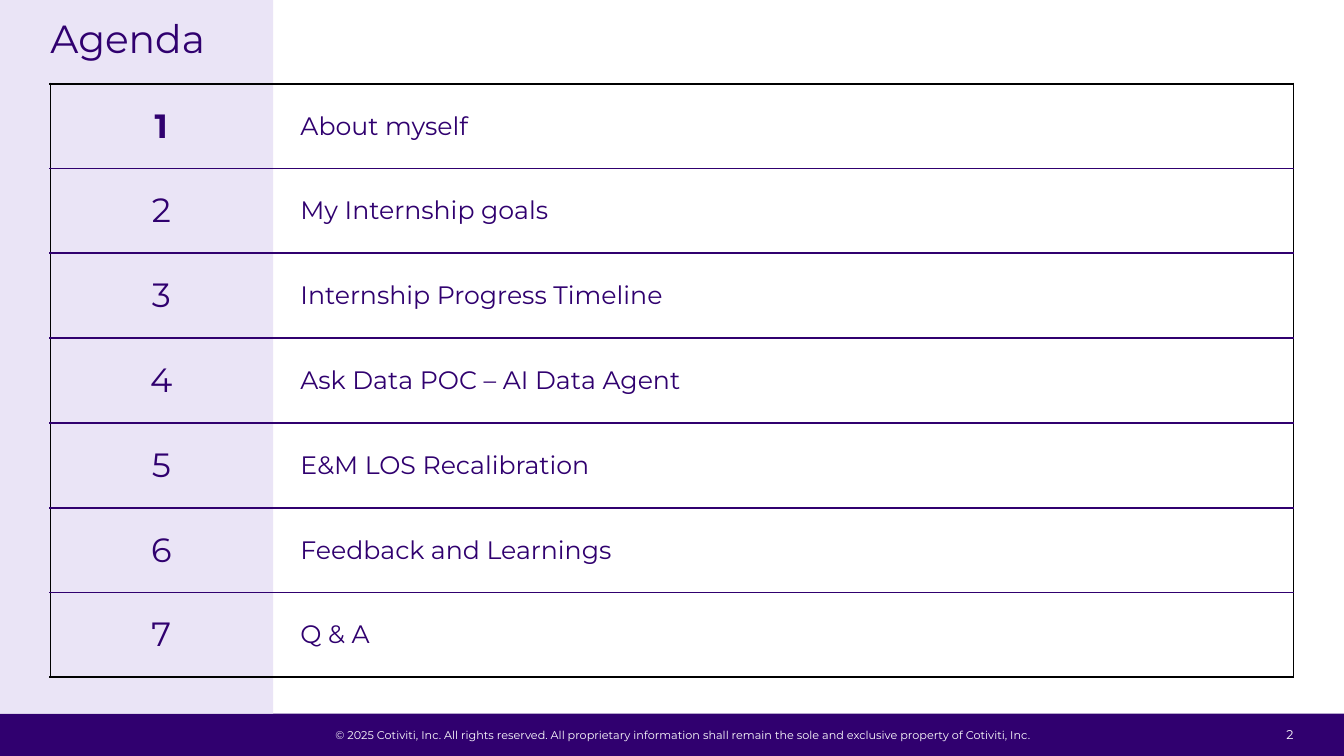
from lxml.etree import SubElement
from pptx import Presentation
from pptx.dml.color import RGBColor
from pptx.enum.shapes import MSO_SHAPE as Shape
from pptx.enum.text import MSO_ANCHOR as Anchor, PP_ALIGN as Align
from pptx.oxml.ns import qn
from pptx.util import Inches, Pt

WIDTH, HEIGHT = 13.33, 7.5
MARGIN = 0.5
FOOTER_TOP = 7.08
FONT = "Montserrat"
PURPLE, LILAC, WHITE, BLACK = "30006F", "EAE4F6", "FFFFFF", "000000"
TOPICS = [
    "About myself",
    "My Internship goals",
    "Internship Progress Timeline",
    "Ask Data POC – AI Data Agent",
    "E&M LOS Recalibration",
    "Feedback and Learnings",
    "Q & A",
]
COPYRIGHT = (
    "© 2025 Cotiviti, Inc. All rights reserved. All proprietary information "
    "shall remain the sole and exclusive property of Cotiviti, Inc."
)


def color(value):
    """Turn a hex string into a colour."""
    return RGBColor.from_string(value)


def write(frame, text, size, font_color, align=Align.LEFT, bold=False, spacing=None):
    """Write one formatted paragraph into a text frame."""
    paragraph = frame.paragraphs[0]
    paragraph.alignment = align
    paragraph.line_spacing = spacing
    run = paragraph.add_run()
    run.text = text
    for name, value in {"name": FONT, "size": Pt(size), "bold": bold}.items():
        setattr(run.font, name, value)
    run.font.color.rgb = color(font_color)


def add_text(slide, box, text, inset=0, anchor=Anchor.TOP, wrap=True, **style):
    """Add a text box with equal insets."""
    frame = slide.shapes.add_textbox(*map(Inches, box)).text_frame
    settings = {"word_wrap": wrap, "vertical_anchor": anchor}
    for side in ("left", "top", "right", "bottom"):
        settings[f"margin_{side}"] = Inches(inset)
    for name, value in settings.items():
        setattr(frame, name, value)
    write(frame, text, **style)


def add_panel(slide, box, fill):
    """Add a plain filled rectangle without an outline."""
    panel = slide.shapes.add_shape(Shape.RECTANGLE, *map(Inches, box))
    panel.shadow.inherit = False
    panel.fill.solid()
    panel.fill.fore_color.rgb = color(fill)
    panel.line.fill.background()


def set_borders(cell, borders):
    """Draw the given cell sides and clear those set to None."""
    properties = cell._tc.get_or_add_tcPr()
    for side, line_color in borders.items():
        line = SubElement(properties, qn(f"a:ln{side}"), w=str(Pt(1.5)))
        if line_color:
            fill = SubElement(line, qn("a:solidFill"))
            SubElement(fill, qn("a:srgbClr"), val=line_color)
        else:
            SubElement(line, qn("a:noFill"))


def add_footer(slide, box):
    """Add the footer band with the copyright line and page number."""
    left, top, width, height = box
    add_panel(slide, box, PURPLE)
    add_text(slide, (left + 3.21, top + 0.1, 7.14, 0.24), COPYRIGHT, inset=0.05,
             wrap=False, size=8, font_color=WHITE, align=Align.CENTER)
    add_text(slide, (left + width - MARGIN - 0.53, top + 0.06, 0.53, 0.3), "2",
             anchor=Anchor.MIDDLE, size=9, font_color=WHITE, align=Align.RIGHT)


def add_agenda(slide, box, number_width):
    """Add the numbered agenda table."""
    left, top, width, height = box
    count = len(TOPICS)
    table = slide.shapes.add_table(count, 2, *map(Inches, box)).table
    table.first_row = table.horz_banding = False
    for column, size in zip(table.columns, (number_width, width - number_width)):
        column.width = Inches(size)
    for index, topic in enumerate(TOPICS):
        table.rows[index].height = Inches(height / count)
        number_cell, topic_cell = table.cell(index, 0), table.cell(index, 1)
        edges = {"T": PURPLE if index else BLACK,
                 "B": PURPLE if index < count - 1 else BLACK}
        set_borders(number_cell, {"L": BLACK, "R": None, **edges})
        set_borders(topic_cell, {"L": None, "R": BLACK, **edges})
        for cell in (number_cell, topic_cell):
            cell.fill.background()
            cell.vertical_anchor = Anchor.MIDDLE
        topic_cell.margin_left = Inches(0.28)
        write(number_cell.text_frame, str(index + 1), 24, PURPLE,
              align=Align.CENTER, bold=index == 0)
        write(topic_cell.text_frame, topic, 18, PURPLE)


def build_agenda_slide(presentation):
    """Build the agenda slide."""
    slide = presentation.slides.add_slide(presentation.slide_layouts[6])
    content_width = WIDTH - 2 * MARGIN
    add_footer(slide, (0, FOOTER_TOP, WIDTH, HEIGHT - FOOTER_TOP))
    add_panel(slide, (0, 0, 2.71, FOOTER_TOP), LILAC)
    add_agenda(slide, (MARGIN, 0.83, content_width, 5.89), number_width=2.2)
    add_text(slide, (MARGIN, 0.19, content_width, 0.85), "Agenda",
             size=28, font_color=PURPLE, spacing=0.9)


def main():
    """Create and save the presentation."""
    presentation = Presentation()
    presentation.slide_width = Inches(WIDTH)
    presentation.slide_height = Inches(HEIGHT)
    build_agenda_slide(presentation)
    presentation.save("out.pptx")


if __name__ == "__main__":
    main()
